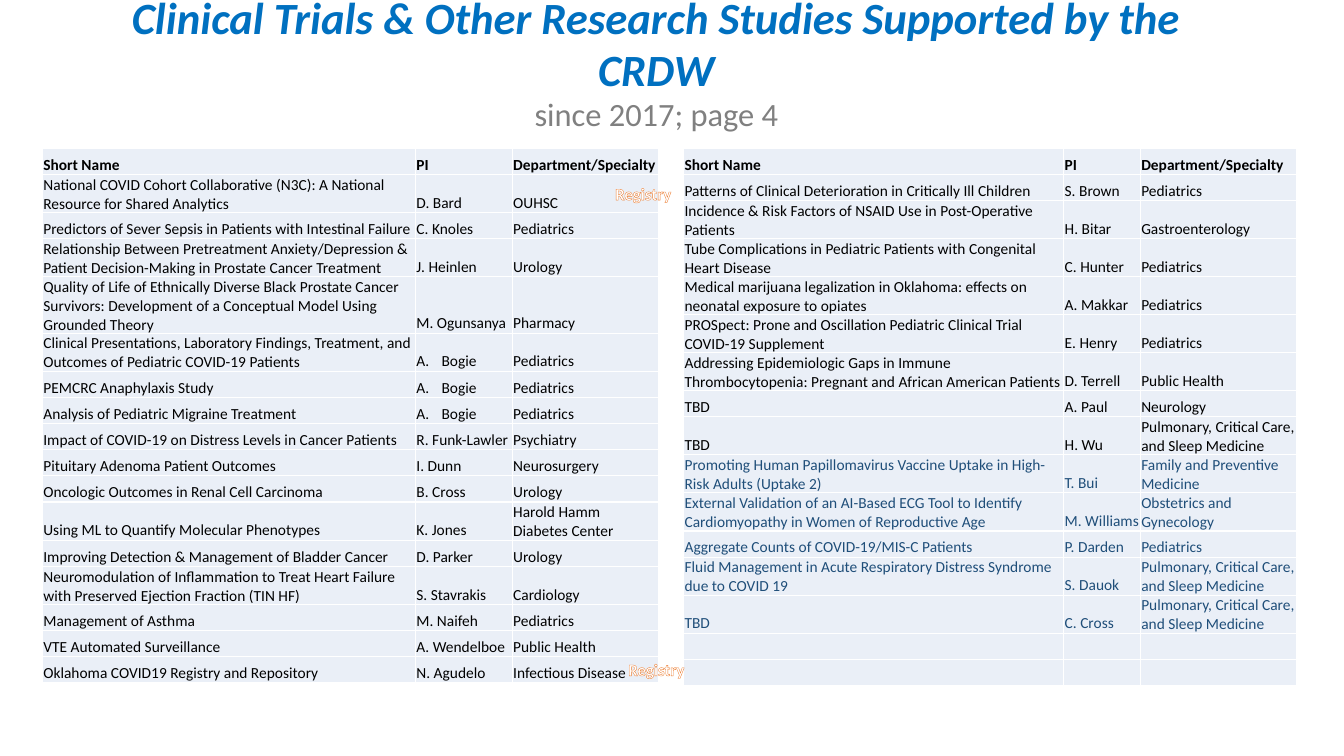
from lxml import etree
from pptx import Presentation
from pptx import util as u
from pptx.dml.color import RGBColor
from pptx.enum import text
from pptx.oxml import ns

BLACK = RGBColor(0x00, 0x00, 0x00)
WHITE = RGBColor(0xFF, 0xFF, 0xFF)
NAVY = RGBColor(0x1F, 0x4E, 0x79)
BLUE = RGBColor(0x00, 0x70, 0xC0)
GRAY = RGBColor(0x80, 0x80, 0x80)
ORANGE = RGBColor(0xED, 0x7D, 0x31)
PALE_BLUE = RGBColor(0xEA, 0xEF, 0xF7)

FONT = "Calibri"
TABLE_TOP = 1.47
ROW_HEIGHTS = {1: 0.26, 2: 0.37, 3: 0.56}  # by number of text lines
# Initials set as an automatic number: the remaining text and its hanging indent
NUMBERED = {"A. Bogie": ("Bogie", 0.25), "A. Makkar": (" Makkar", 0)}

HEADER = (1, "Short Name", "PI", "Department/Specialty")
SLEEP_MEDICINE = "Pulmonary, Critical Care, and Sleep Medicine"
LEFT_STUDIES = [
    HEADER,
    (2, "National COVID Cohort Collaborative (N3C): A National Resource for Shared Analytics", "D. Bard", "OUHSC"),
    (1, "Predictors of Sever Sepsis in Patients with Intestinal Failure", "C. Knoles", "Pediatrics"),
    (2, "Relationship Between Pretreatment Anxiety/Depression & Patient Decision-Making in Prostate Cancer Treatment",
     "J. Heinlen", "Urology"),
    (3, "Quality of Life of Ethnically Diverse Black Prostate Cancer Survivors: "
        "Development of a Conceptual Model Using Grounded Theory", "M. Ogunsanya", "Pharmacy"),
    (2, "Clinical Presentations, Laboratory Findings, Treatment, and Outcomes of Pediatric COVID-19 Patients",
     "A. Bogie", "Pediatrics"),
    (1, "PEMCRC Anaphylaxis Study", "A. Bogie", "Pediatrics"),
    (1, "Analysis of Pediatric Migraine Treatment", "A. Bogie", "Pediatrics"),
    (1, "Impact of COVID-19 on Distress Levels in Cancer Patients", "R. Funk-Lawler", "Psychiatry"),
    (1, "Pituitary Adenoma Patient Outcomes", "I. Dunn", "Neurosurgery"),
    (1, "Oncologic Outcomes in Renal Cell Carcinoma", "B. Cross", "Urology"),
    (2, "Using ML to Quantify Molecular Phenotypes", "K. Jones", "Harold Hamm Diabetes Center"),
    (1, "Improving Detection & Management of Bladder Cancer", "D. Parker", "Urology"),
    (2, "Neuromodulation of Inflammation to Treat Heart Failure with Preserved Ejection Fraction (TIN HF)",
     "S. Stavrakis", "Cardiology"),
    (1, "Management of Asthma", "M. Naifeh", "Pediatrics"),
    (1, "VTE Automated Surveillance", "A. Wendelboe", "Public Health"),
    (1, "Oklahoma COVID19 Registry and Repository", "N. Agudelo", "Infectious Disease"),
]
RIGHT_STUDIES = [
    HEADER,
    (1, "Patterns of Clinical Deterioration in Critically Ill Children", "S. Brown", "Pediatrics"),
    (2, "Incidence & Risk Factors of NSAID Use in Post-Operative Patients", "H. Bitar", "Gastroenterology"),
    (2, "Tube Complications in Pediatric Patients with Congenital Heart Disease", "C. Hunter", "Pediatrics"),
    (2, "Medical marijuana legalization in Oklahoma: effects on neonatal exposure to opiates",
     "A. Makkar", "Pediatrics"),
    (2, "PROSpect: Prone and Oscillation Pediatric Clinical Trial COVID-19 Supplement", "E. Henry", "Pediatrics"),
    (2, "Addressing Epidemiologic Gaps in Immune Thrombocytopenia: Pregnant and African American Patients",
     "D. Terrell", "Public Health"),
    (1, "TBD", "A. Paul", "Neurology"),
    (2, "TBD", "H. Wu", SLEEP_MEDICINE),
    (2, "Promoting Human Papillomavirus Vaccine Uptake in High-Risk Adults (Uptake 2)",
     "T. Bui", "Family and Preventive Medicine"),
    (2, "External Validation of an AI-Based ECG Tool to Identify Cardiomyopathy in Women of Reproductive Age",
     "M. Williams", "Obstetrics and Gynecology"),
    (1, "Aggregate Counts of COVID-19/MIS-C Patients", "P. Darden", "Pediatrics"),
    (2, "Fluid Management in Acute Respiratory Distress Syndrome due to COVID 19", "S. Dauok", SLEEP_MEDICINE),
    (2, "TBD", "C. Cross", SLEEP_MEDICINE),
    (1, "", "", ""),
    (1, "", "", ""),
]
# left, column widths, studies, first row in navy, position of the "Registry" tag
HALVES = [
    (0.42, (3.7, 0.96, 1.45), LEFT_STUDIES, len(LEFT_STUDIES), (5.98, 1.77)),
    (6.78, (3.77, 0.76, 1.55), RIGHT_STUDIES, 9, (6.11, 6.49)),
]


def style_run(run, size, color, bold=False, italic=False):
    run.font.name = FONT
    run.font.size = u.Pt(size)
    run.font.color.rgb = color
    run.font.bold = bold
    run.font.italic = italic


def add_line(parent, tag, points, color):
    """Add a solid line element, such as a cell border or a text outline, as first child."""
    line = etree.Element(ns.qn(tag), w=str(u.Pt(points)))
    fill = etree.SubElement(line, ns.qn("a:solidFill"))
    etree.SubElement(fill, ns.qn("a:srgbClr"), val=str(color))
    parent.insert(0, line)


presentation = Presentation()
presentation.slide_width = u.Inches(13.33)
presentation.slide_height = u.Inches(7.5)
slide = presentation.slides.add_slide(presentation.slide_layouts[6])

title = slide.shapes.add_textbox(u.Inches(0.76), u.Inches(0.09), u.Inches(11.5), u.Inches(1.08))
title.text_frame.word_wrap = True
title.text_frame.vertical_anchor = text.MSO_ANCHOR.MIDDLE
paragraph = title.text_frame.paragraphs[0]
paragraph.text = "Clinical Trials & Other Research Studies Supported by the CRDW\vsince 2017; page 4"
paragraph.alignment = text.PP_ALIGN.CENTER
paragraph.line_spacing = 0.97
heading, subheading = paragraph.runs
style_run(heading, 31.9, BLUE, bold=True, italic=True)
style_run(subheading, 23.2, GRAY)

for left, widths, studies, navy_start, (tag_left, tag_top) in HALVES:
    heights = [ROW_HEIGHTS[study[0]] for study in studies]
    table = slide.shapes.add_table(
        len(studies), len(widths), u.Inches(left), u.Inches(TABLE_TOP),
        u.Inches(sum(widths)), u.Inches(sum(heights))).table
    table.first_row = False
    table.horz_banding = False
    for column, width in zip(table.columns, widths):
        column.width = u.Inches(width)

    for row_number, (lines, *values) in enumerate(studies):
        row = table.rows[row_number]
        row.height = u.Inches(heights[row_number])
        color = NAVY if row_number >= navy_start else BLACK
        for cell, value in zip(row.cells, values):
            cell.margin_left = cell.margin_right = cell.margin_top = u.Inches(0.01)
            cell.margin_bottom = 0
            cell.vertical_anchor = text.MSO_ANCHOR.BOTTOM
            for side in ("a:lnB", "a:lnT", "a:lnR", "a:lnL"):
                add_line(cell._tc.get_or_add_tcPr(), side, 1, WHITE)
            cell.fill.solid()
            cell.fill.fore_color.rgb = PALE_BLUE

            paragraph = cell.text_frame.paragraphs[0]
            if not value:
                etree.SubElement(paragraph._p, ns.qn("a:endParaRPr"), sz="1100")
                continue
            if value in NUMBERED:
                value, indent = NUMBERED[value]
                properties = paragraph._p.get_or_add_pPr()
                properties.set("marL", str(u.Inches(indent)))
                properties.set("indent", str(-u.Inches(indent)))
                etree.SubElement(properties, ns.qn("a:buFont"), typeface="+mj-lt")
                etree.SubElement(properties, ns.qn("a:buAutoNum"), type="alphaUcPeriod")
            paragraph.text = value
            style_run(paragraph.runs[0], 11, color, bold=row_number == 0)

    tag = slide.shapes.add_textbox(u.Inches(tag_left), u.Inches(tag_top), u.Inches(0.8), u.Inches(0.3))
    tag.text_frame.word_wrap = True
    tag.text_frame.auto_size = text.MSO_AUTO_SIZE.SHAPE_TO_FIT_TEXT
    paragraph = tag.text_frame.paragraphs[0]
    paragraph.text = "Registry"
    paragraph.alignment = text.PP_ALIGN.CENTER
    style_run(paragraph.runs[0], 12, WHITE, bold=True)
    add_line(paragraph.runs[0]._r.get_or_add_rPr(), "a:ln", 0.52, ORANGE)

presentation.save("out.pptx")
